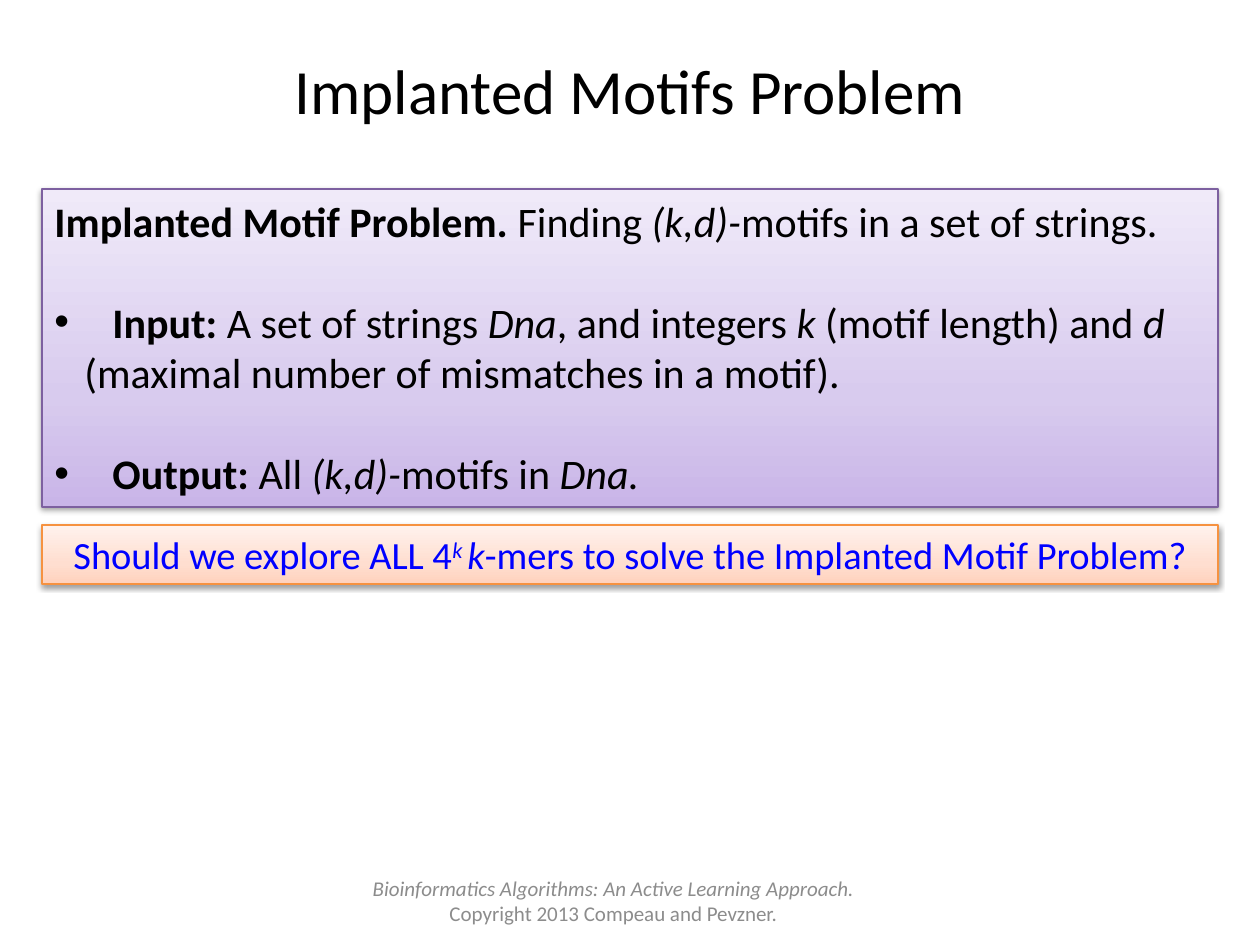
from copy import deepcopy
from dataclasses import dataclass

from lxml.etree import SubElement
from pptx import Presentation
from pptx.dml.color import RGBColor
from pptx.enum.shapes import MSO_SHAPE
from pptx.enum.text import MSO_ANCHOR, MSO_AUTO_SIZE, PP_ALIGN
from pptx.oxml.ns import qn
from pptx.util import Pt

EMU_PER_PX = 914400 / 126


def px(n):
    return round(n * EMU_PER_PX)


@dataclass(frozen=True)
class Theme:
    font: str = "Calibri"
    text: str = "000000"
    question: str = "0000FF"
    muted: str = "8C8C8C"
    purple: tuple = ("C9B5E8", "D8CBEE", "F0EAF9")
    purple_line: str = "7D60A0"
    orange: tuple = ("FFD2BD", "FFDED0", "FFF2ED")
    orange_line: str = "F69240"
    title_size: int = 36
    body_size: int = 24
    question_size: int = 22
    footer_size: int = 12
    paragraph_gap: int = 29


class SlideBuilder:
    def __init__(self, slide, theme):
        self.slide = slide
        self.theme = theme

    def text(self, box, paragraphs, size, color):
        sp = self.slide.shapes.add_textbox(*map(px, box))
        tf = sp.text_frame
        tf.vertical_anchor = MSO_ANCHOR.MIDDLE
        self.add_text(tf, paragraphs, size, color, PP_ALIGN.CENTER)

    def panel(self, box, fill, line):
        """Add a rectangle with a gradient rising from the bottom; return its text frame."""
        sp = self.slide.shapes.add_shape(MSO_SHAPE.RECTANGLE, *map(px, box))
        sp.fill.gradient()
        sp.fill.gradient_angle = 90
        stops = sp._element.spPr.find(".//" + qn("a:gsLst"))
        stops.insert(1, deepcopy(stops[0]))
        for stop, position, color in zip(sp.fill.gradient_stops, (0, 0.35, 1), fill):
            stop.position = position
            stop.color.rgb = RGBColor.from_string(color)
        sp.line.color.rgb = RGBColor.from_string(line)
        sp.line.width = Pt(0.75)
        self.drop_shadow(sp)
        tf = sp.text_frame
        tf.vertical_anchor = MSO_ANCHOR.TOP
        tf.auto_size = MSO_AUTO_SIZE.SHAPE_TO_FIT_TEXT
        return tf

    def drop_shadow(self, sp):
        sp.shadow.inherit = False
        effects = sp._element.spPr.find(qn("a:effectLst"))
        shadow = SubElement(effects, qn("a:outerShdw"), blurRad=str(Pt(3.1)),
                            dist=str(Pt(1.6)), dir="5400000", rotWithShape="0")
        color = SubElement(shadow, qn("a:srgbClr"), val="000000")
        SubElement(color, qn("a:alpha"), val="38000")

    def add_text(self, tf, paragraphs, size, color, align, bulleted=False, gap=0):
        """Fill tf; a run is (text, style), where style holds b, i or ^ (superscript)."""
        tf.word_wrap = True
        for n, runs in enumerate(paragraphs):
            p = tf.paragraphs[0] if n == 0 else tf.add_paragraph()
            p.alignment = align
            if n:
                p.space_before = Pt(gap)
                if bulleted:
                    self.bullet(p)
            for text, style in runs:
                r = p.add_run()
                r.text = text
                r.font.name = self.theme.font
                r.font.size = Pt(size)
                r.font.bold = "b" in style
                r.font.italic = "i" in style
                r.font.color.rgb = RGBColor.from_string(color)
                if "^" in style:
                    r._r.get_or_add_rPr().set("baseline", "30000")

    def bullet(self, p):
        """Hang the paragraph from a bullet, with a tab stop for its label."""
        pPr = p._p.get_or_add_pPr()
        pPr.set("marL", str(px(30)))
        pPr.set("indent", str(-px(30)))
        SubElement(pPr, qn("a:buFont"), typeface="Arial")
        SubElement(pPr, qn("a:buChar"), char="•")
        tabs = SubElement(pPr, qn("a:tabLst"))
        SubElement(tabs, qn("a:tab"), pos=str(px(58)), algn="l")


def main():
    prs = Presentation()
    prs.slide_width, prs.slide_height = px(1260), px(945)
    theme = Theme()
    s = SlideBuilder(prs.slides.add_slide(prs.slide_layouts[6]), theme)

    s.text((63, 10, 1134, 158), [[("Implanted Motifs Problem", "")]],
           theme.title_size, theme.text)

    problem = [
        [("Implanted Motif Problem.", "b"), (" Finding ", ""), ("(k,d)-", "i"),
         ("motifs in a set of strings.", "")],
        [("\tInput:", "b"), (" A set of strings ", ""), ("Dna", "i"),
         (", and integers ", ""), ("k ", "i"), ("(motif length) and", ""),
         (" d ", "i"), ("(maximal number of mismatches in a motif).", "")],
        [("\tOutput:", "b"), (" All ", ""), ("(k,d)-", "i"), ("motifs in ", ""),
         ("Dna.", "i")],
    ]
    tf = s.panel((42, 189, 1176, 318), theme.purple, theme.purple_line)
    s.add_text(tf, problem, theme.body_size, theme.text, PP_ALIGN.LEFT,
               bulleted=True, gap=theme.paragraph_gap)

    question = [[("Should we explore ALL 4", ""), ("k ", "i^"), ("k", "i"),
                 ("-mers to solve the Implanted Motif Problem?", "")]]
    tf = s.panel((42, 525, 1176, 59), theme.orange, theme.orange_line)
    s.add_text(tf, question, theme.question_size, theme.question, PP_ALIGN.CENTER)

    footer = [[("Bioinformatics Algorithms: An Active Learning Approach.", "i")],
              [("Copyright 2013 Compeau and Pevzner.", "")]]
    s.text((325, 876, 577, 50), footer, theme.footer_size, theme.muted)

    prs.save("out.pptx")


if __name__ == "__main__":
    main()
